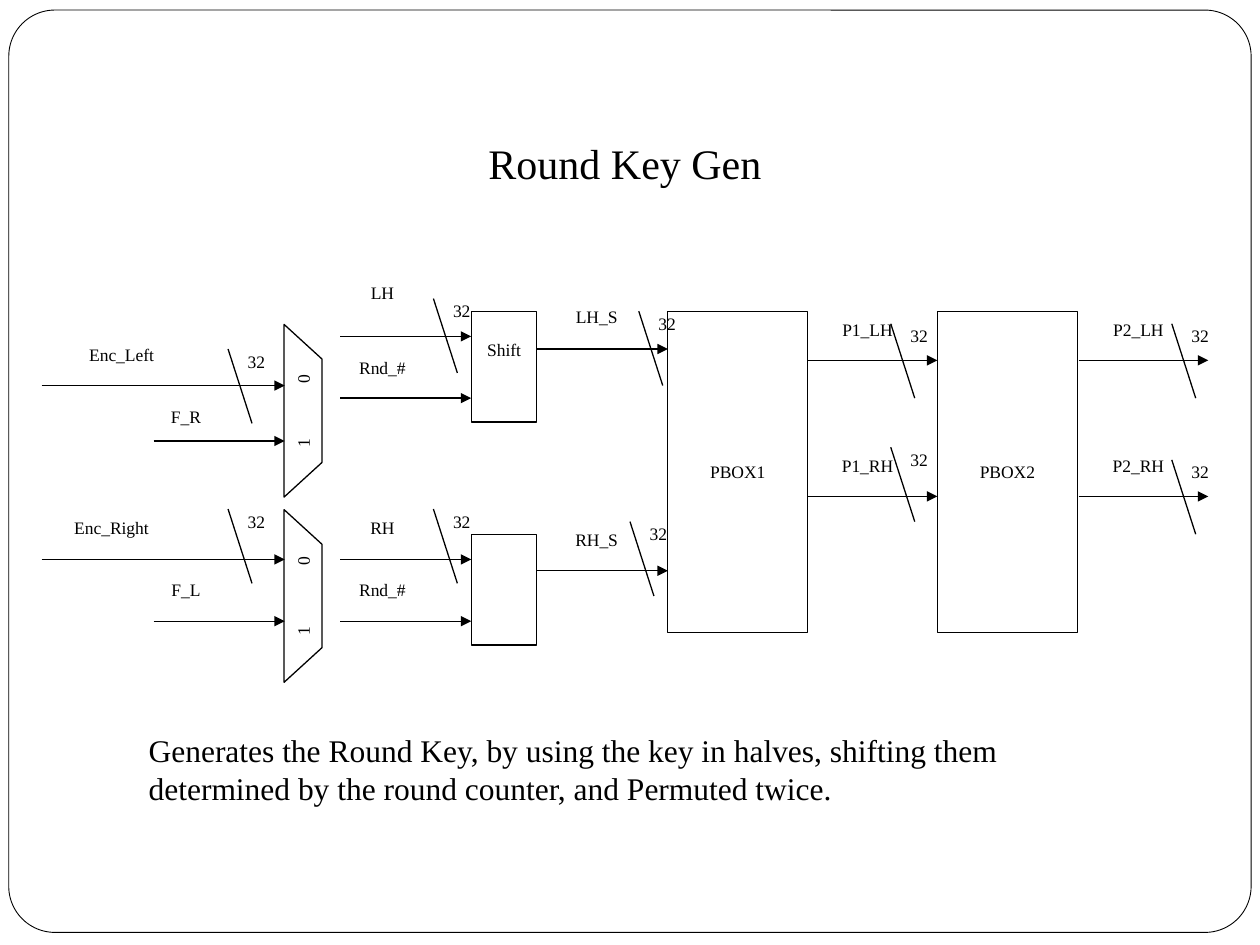
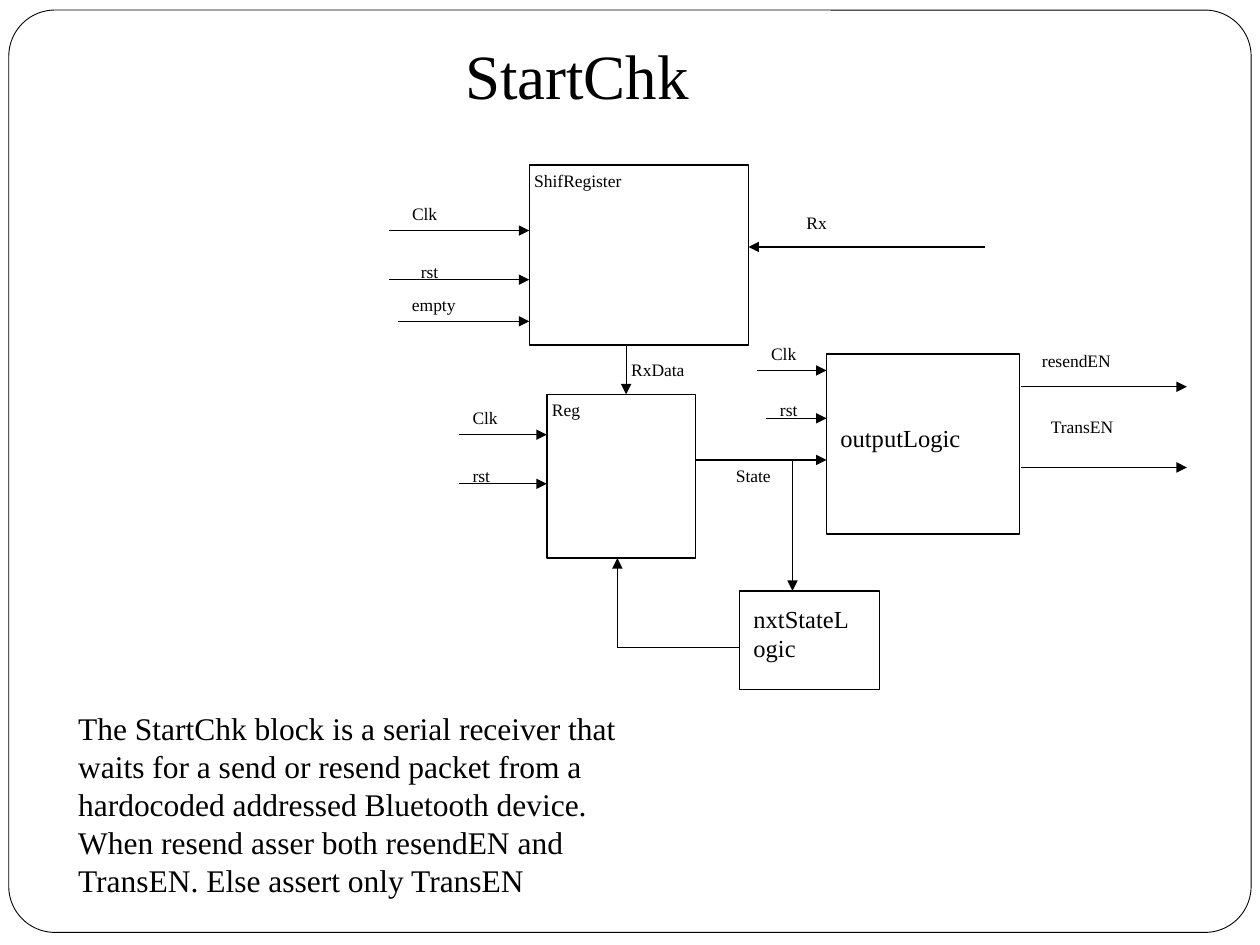
from lxml import etree
from pptx import Presentation
from pptx import util as u
from pptx.dml.color import RGBColor
from pptx.enum import shapes, text
from pptx.oxml import ns

BLACK = RGBColor(0, 0, 0)
WHITE = RGBColor(255, 255, 255)
FONT = "Times New Roman"
LEFT, CENTER = text.PP_ALIGN.LEFT, text.PP_ALIGN.CENTER
TOP, MIDDLE = text.MSO_ANCHOR.TOP, text.MSO_ANCHOR.MIDDLE
INSET = 0.04
SMALL, MEDIUM, BODY = 10, 14, 18

ROUND_KEY_BOXES = [
    (3.74, 4.24, 0.52, 0.88, ""),
    (5.3, 2.47, 1.11, 2.55, "PBOX1"),
    (7.44, 2.47, 1.11, 2.55, "PBOX2"),
]
ROUND_KEY_SIGNALS = [
    ("Enc_Left", 0.33, 2.26, 3.06, 0.56, 2.67, (1.81, 2.77)),
    ("F_R", 1.22, 2.26, 3.5, 1.07, 3.16, None),
    ("Enc_Right", 0.33, 2.26, 4.44, 0.48, 4.04, (1.81, 4.04)),
    ("F_L", 1.22, 2.26, 4.93, 1.07, 4.53, None),
    ("LH", 2.7, 3.74, 2.67, 2.63, 2.18, (3.44, 2.37)),
    ("Rnd_#", 2.7, 3.74, 3.16, 2.63, 2.77, None),
    ("RH", 2.7, 3.74, 4.44, 2.63, 4.04, (3.44, 4.04)),
    ("Rnd_#", 2.7, 3.74, 4.93, 2.63, 4.53, None),
    ("LH_S", 4.26, 5.3, 2.77, 4.33, 2.37, (5.07, 2.47)),
    ("RH_S", 4.26, 5.3, 4.53, 4.33, 4.14, (5, 4.14)),
    ("P1_LH", 6.41, 7.44, 2.86, 6.48, 2.47, (7.07, 2.57)),
    ("P1_RH", 6.41, 7.44, 3.94, 6.48, 3.55, (7.07, 3.55)),
    ("P2_LH", 8.56, 9.59, 2.86, 8.63, 2.47, (9.3, 2.57)),
    ("P2_RH", 8.56, 9.59, 3.94, 8.63, 3.55, (9.3, 3.65)),
]

START_CHECK_BOXES = [
    (4.2, 1.31, 1.74, 1.43, "ShifRegister"),
    (4.34, 3.13, 1.18, 1.3, "Reg"),
    (6.56, 2.81, 1.53, 1.43, ""),
    (5.87, 4.69, 1.11, 0.78, ""),
]
START_CHECK_ARROWS = [
    (3.09, 1.83, 4.2, 1.83),
    (3.09, 2.22, 4.2, 2.22),
    (3.16, 2.55, 4.2, 2.55),
    (7.82, 1.96, 5.94, 1.96),
    (4.97, 2.74, 4.97, 3.13),
    (3.64, 3.45, 4.34, 3.45),
    (3.64, 3.84, 4.34, 3.84),
    (5.52, 3.65, 6.56, 3.65),
    (6.01, 2.94, 6.56, 2.94),
    (6.08, 3.32, 6.56, 3.32),
    (8.1, 3.07, 9.42, 3.07),
    (8.1, 3.71, 9.42, 3.71),
    (6.29, 3.65, 6.29, 4.69),
    (4.9, 5.14, 4.9, 4.43),
]
START_CHECK_LABELS = [
    ("Clk", 3.23, 1.57, 0.42, 0.26, SMALL),
    ("rst", 3.3, 2.03, 0.42, 0.19, SMALL),
    ("empty", 3.23, 2.29, 0.63, 0.26, SMALL),
    ("Rx", 6.36, 1.64, 0.28, 0.26, SMALL),
    ("RxData", 4.97, 2.81, 0.77, 0.19, SMALL),
    ("Clk", 3.71, 3.19, 0.42, 0.26, SMALL),
    ("rst", 3.71, 3.65, 0.28, 0.19, SMALL),
    ("State", 5.8, 3.65, 0.42, 0.19, SMALL),
    ("Clk", 6.08, 2.68, 0.35, 0.26, SMALL),
    ("rst", 6.15, 3.13, 0.28, 0.19, SMALL),
    ("resendEN", 8.23, 2.74, 0.77, 0.32, SMALL),
    ("TransEN", 8.3, 3.26, 0.77, 0.32, SMALL),
    ("outputLogic", 6.63, 3.32, 1.32, 0.32, MEDIUM),
    ("nxtStateLogic", 5.94, 4.75, 0.9, 0.65, MEDIUM),
]


class Diagram:
    def __init__(self, presentation):
        self.presentation = presentation
        self.slide = None
        self.align, self.anchor = LEFT, TOP

    def new_slide(self, align, anchor):
        self.slide = self.presentation.slides.add_slide(self.presentation.slide_layouts[1])
        self.align, self.anchor = align, anchor

    def master_frame(self):
        frame = self.box(0.07, 0.08, 9.86, 7.32, kind=shapes.MSO_SHAPE.ROUNDED_RECTANGLE)
        frame.adjustments[0] = 0.05
        frame.fill.solid()
        frame.fill.fore_color.rgb = WHITE
        frame.line.width = u.Pt(0.5)
        frame.element.nvSpPr.cNvPr.set("id", "99")
        self.presentation.slide_master.shapes.element.insert(2, frame.element)

    def add_text(self, shape, content, size, align, anchor, inset=(INSET,) * 4):
        frame = shape.text_frame
        frame.word_wrap = True
        frame.auto_size = text.MSO_AUTO_SIZE.NONE
        frame.vertical_anchor = anchor
        (frame.margin_left, frame.margin_top,
         frame.margin_right, frame.margin_bottom) = map(u.Inches, inset)
        paragraph = frame.paragraphs[0]
        paragraph.alignment = align
        paragraph.space_before = u.Pt(0)
        run = paragraph.add_run()
        run.text = content
        run.font.name, run.font.size = FONT, u.Pt(size)
        run.font.color.rgb = BLACK
        return paragraph

    def placeholder(self, index, left, top, width, height):
        shape = self.slide.placeholders[index]
        shape.left, shape.top = u.Inches(left), u.Inches(top)
        shape.width, shape.height = u.Inches(width), u.Inches(height)
        return shape

    def title(self, content, size, *place):
        self.add_text(self.placeholder(0, *place), content, size, CENTER, self.anchor)

    def body(self, content, *place, inset=(INSET,) * 4):
        shape = self.placeholder(1, *place)
        paragraph = self.add_text(shape, content, BODY, LEFT, TOP, inset)
        properties = paragraph._p.get_or_add_pPr()
        properties.set("marL", "0")
        properties.set("indent", "0")
        etree.SubElement(properties, ns.qn("a:buNone"))

    def box(self, left, top, width, height, content="", kind=shapes.MSO_SHAPE.RECTANGLE,
            inset=(INSET,) * 4):
        shape = self.slide.shapes.add_shape(kind, *map(u.Inches, (left, top, width, height)))
        shape.shadow.inherit = False
        shape.fill.background()
        shape.line.color.rgb = BLACK
        shape.line.width = u.Pt(0.75)
        if content:
            self.add_text(shape, content, SMALL, self.align, self.anchor, inset)
        return shape

    def label(self, content, left, top, width, height, size=SMALL):
        shape = self.slide.shapes.add_textbox(*map(u.Inches, (left, top, width, height)))
        self.add_text(shape, content, size, self.align, self.anchor)

    def line(self, *ends, arrow=False):
        connector = self.slide.shapes.add_connector(
            shapes.MSO_CONNECTOR.STRAIGHT, *map(u.Inches, ends))
        connector.line.color.rgb = BLACK
        connector.line.width = u.Pt(0.75)
        properties = connector.element.spPr
        if arrow:
            etree.SubElement(properties.get_or_add_ln(), ns.qn("a:tailEnd"), type="triangle")
        etree.SubElement(properties, ns.qn("a:effectLst"))

    def multiplexer(self, top, gap):
        width, digit = 1.37, 0.07
        side = (width * 0.6 - gap - digit) / 2
        shape = self.box(1.72, top, width, 0.3,
                         kind=shapes.MSO_SHAPE.FLOWCHART_MANUAL_OPERATION)
        shape.rotation = 270
        paragraph = self.add_text(shape, "1\t0", SMALL, LEFT, MIDDLE, (side, INSET, 0, INSET))
        stops = etree.SubElement(paragraph._p.get_or_add_pPr(), ns.qn("a:tabLst"))
        etree.SubElement(stops, ns.qn("a:tab"), pos=str(int(u.Inches(gap))), algn="l")

    def bus_width(self, left, top):
        self.line(left, top, left + 0.19, top + 0.59)
        self.label("32", left + 0.07, top - 0.1, 0.31, 0.39)


def round_key_slide(diagram):
    diagram.title("Round Key Gen", 24, 3.59, 1, 2.74, 0.59)
    diagram.box(3.74, 2.47, 0.52, 0.88, "Shift", inset=(INSET, INSET, INSET, 0.32))
    for box in ROUND_KEY_BOXES:
        diagram.box(*box)
    diagram.multiplexer(3.11, 0.51)
    diagram.multiplexer(4.58, 0.56)
    for name, start, end, height, left, top, slash in ROUND_KEY_SIGNALS:
        diagram.line(start, height, end, height, arrow=True)
        diagram.label(name, left, top, 0.81, 0.29)
        if slash:
            diagram.bus_width(*slash)
    diagram.body("Generates the Round Key, by using the key in halves, shifting them "
                 "determined by the round counter, and Permuted twice.",
                 1.08, 5.75, 7.67, 0.71, inset=(0.1, 0.05, 0.1, 0.05))


def start_check_slide(diagram):
    diagram.title("StartChk", 36, 3.5, 0.25, 2.16, 0.52)
    for box in START_CHECK_BOXES:
        diagram.box(*box)
    for arrow in START_CHECK_ARROWS:
        diagram.line(*arrow, arrow=True)
    diagram.line(5.87, 5.14, 4.9, 5.14)
    for label in START_CHECK_LABELS:
        diagram.label(*label)
    diagram.body("The StartChk block is a serial receiver that waits for a send or resend "
                 "packet from a hardocoded addressed Bluetooth device. When resend asser both "
                 "resendEN and TransEN. Else assert only TransEN",
                 0.58, 5.59, 4.45, 1.49)


def main():
    presentation = Presentation()
    presentation.slide_width, presentation.slide_height = u.Inches(10), u.Inches(7.5)
    diagram = Diagram(presentation)
    diagram.new_slide(CENTER, MIDDLE)
    diagram.master_frame()
    round_key_slide(diagram)
    diagram.new_slide(LEFT, TOP)
    start_check_slide(diagram)
    presentation.save("out.pptx")


if __name__ == "__main__":
    main()
